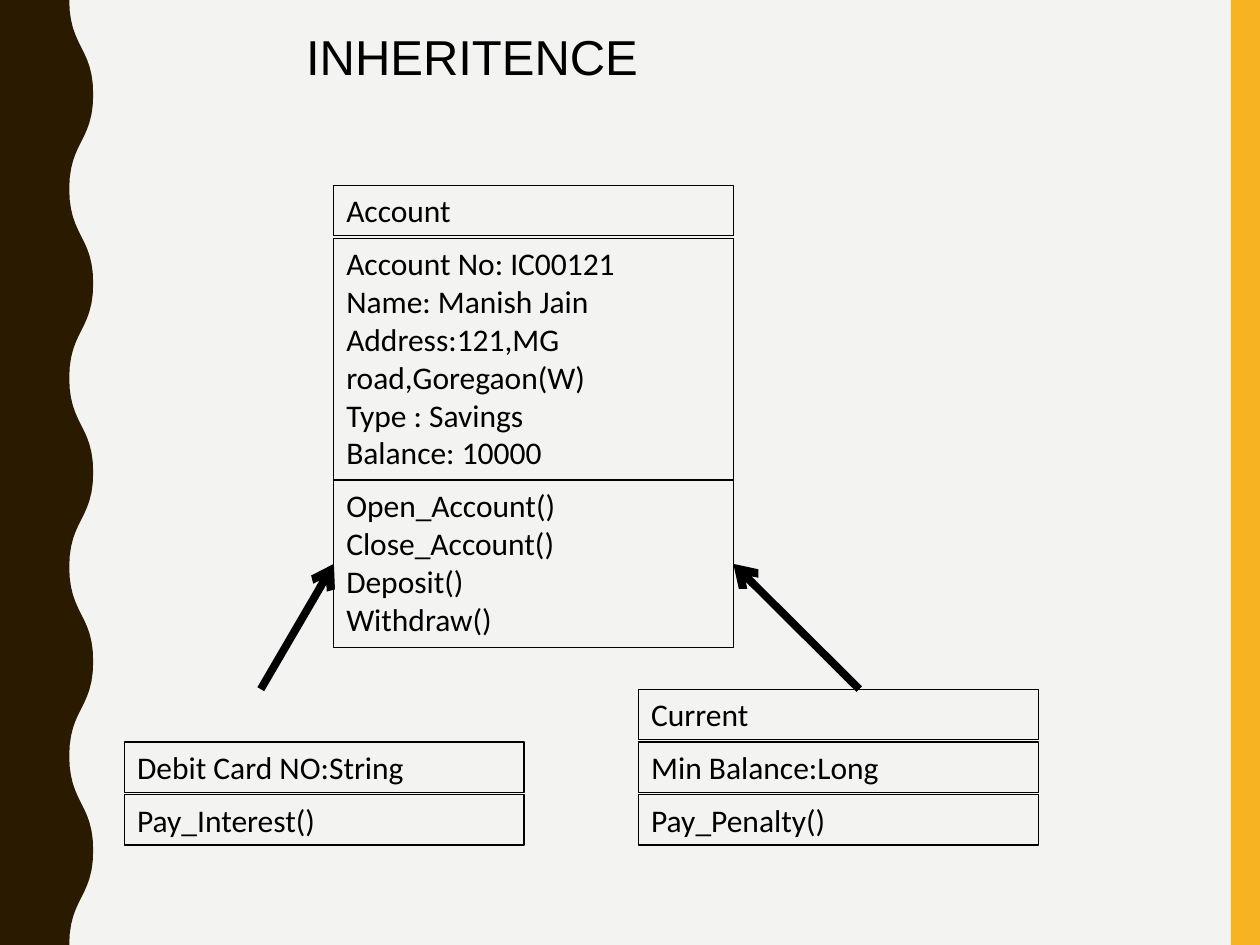
from dataclasses import dataclass

from lxml import etree
from pptx import Presentation
from pptx.dml.color import RGBColor
from pptx.enum.shapes import MSO_CONNECTOR, MSO_SHAPE
from pptx.enum.text import MSO_ANCHOR, PP_ALIGN
from pptx.oxml.ns import qn
from pptx.shapes.autoshape import Shape
from pptx.slide import Slide
from pptx.util import Pt

RECTANGLE = MSO_SHAPE.RECTANGLE
STRAIGHT = MSO_CONNECTOR.STRAIGHT
LEFT = PP_ALIGN.LEFT
TOP = MSO_ANCHOR.TOP

SLIDE_WIDTH, SLIDE_HEIGHT = 720, 540
BLACK, BROWN, AMBER, PAPER = "000000", "2A1A00", "F8B323", "F3F3F2"
CLASS_WIDTH = 228.24
ROW_HEIGHT = 28.8
LEFT_SIDE, RIGHT_SIDE = 1, 3


@dataclass
class Compartment:
    top: float
    height: float
    lines: list[str]


@dataclass
class ClassBox:
    left: float
    compartments: list[Compartment]


@dataclass
class Inheritance:
    start_x: float
    start_y: float
    parent_side: int


ACCOUNT = ClassBox(190.8, [
    Compartment(105.84, ROW_HEIGHT, ["Account"]),
    Compartment(136.08, 138.24, [
        "Account No: IC00121", "Name: Manish Jain",
        "Address:121,MG road,Goregaon(W)", "Type : Savings", "Balance: 10000"]),
    Compartment(274.32, 95.76, [
        "Open_Account()", "Close_Account()", "Deposit()", "Withdraw()"]),
])
SAVINGS = ClassBox(71.28, [
    Compartment(424.08, ROW_HEIGHT, ["Debit Card NO:String"]),
    Compartment(454.1, ROW_HEIGHT, ["Pay_Interest()"]),
])
CURRENT = ClassBox(365.04, [
    Compartment(393.84, ROW_HEIGHT, ["Current"]),
    Compartment(424.08, ROW_HEIGHT, ["Min Balance:Long"]),
    Compartment(454.1, ROW_HEIGHT, ["Pay_Penalty()"]),
])
INHERITANCES = [
    Inheritance(149.04, 393.84, LEFT_SIDE),
    Inheritance(491.04, 393.84, RIGHT_SIDE),
]


def color(hex_string: str) -> RGBColor:
    return RGBColor.from_string(hex_string)


def fill_plain(shape: Shape, hex_string: str) -> None:
    shape.shadow.inherit = False
    shape.fill.solid()
    shape.fill.fore_color.rgb = color(hex_string)
    shape.line.fill.background()


def draw_wave(slide: Slide) -> None:
    """Draw the left band, whose edge swings between trough and crest."""
    trough, crest, half_wave, steps = 39.6, 53.28, 54, 12
    edge = []
    for half in range(SLIDE_HEIGHT // half_wave):
        start, end = (trough, crest) if half % 2 == 0 else (crest, trough)
        for step in range(1, steps + 1):
            t = step / steps
            x = start + (end - start) * (3 * t**2 - 2 * t**3)
            y = half_wave * (half + 1.5 * t * (1 - t) + t**3)
            edge.append((Pt(x), Pt(y)))
    builder = slide.shapes.build_freeform(0, 0)
    builder.add_line_segments([(Pt(trough), 0), *edge, (0, Pt(SLIDE_HEIGHT))])
    fill_plain(builder.convert_to_shape(), BROWN)


def draw_amber_bar(slide: Slide) -> None:
    left = 703.44
    bar = slide.shapes.add_shape(
        RECTANGLE, Pt(left), 0, Pt(SLIDE_WIDTH - left), Pt(SLIDE_HEIGHT))
    fill_plain(bar, AMBER)


def set_title(slide: Slide, wording: str) -> None:
    title = slide.shapes.title
    title.left, title.top = Pt(167.76), Pt(10.08)
    title.width, title.height = Pt(452.88), Pt(74.88)
    frame = title.text_frame
    frame.text = wording
    frame.vertical_anchor = TOP
    frame.margin_top = Pt(5)
    heading = frame.paragraphs[0]
    heading.alignment = LEFT
    heading.font.size = Pt(28)
    heading.font.name = "Arial"
    heading.font.color.rgb = color(BLACK)


def draw_class(slide: Slide, class_box: ClassBox) -> list[Shape]:
    drawn = []
    for compartment in class_box.compartments:
        box = slide.shapes.add_shape(
            RECTANGLE, Pt(class_box.left), Pt(compartment.top),
            Pt(CLASS_WIDTH), Pt(compartment.height))
        box.shadow.inherit = False
        box.fill.background()
        box.line.color.rgb = color(BLACK)
        box.line.width = Pt(0.75)
        frame = box.text_frame
        frame.text = "\n".join(compartment.lines)
        frame.word_wrap = True
        frame.vertical_anchor = TOP
        for paragraph in frame.paragraphs:
            paragraph.alignment = LEFT
            paragraph.font.size = Pt(18)
            paragraph.font.name = "Calibri"
            paragraph.font.color.rgb = color(BLACK)
        drawn.append(box)
    return drawn


def draw_inheritance(slide: Slide, link: Inheritance, parent: Shape) -> None:
    start = Pt(link.start_x), Pt(link.start_y)
    arrow = slide.shapes.add_connector(STRAIGHT, *start, *start)
    arrow.end_connect(parent, link.parent_side)
    arrow.line.color.rgb = color(BLACK)
    arrow.line.width = Pt(4.5)
    etree.SubElement(arrow.line._get_or_add_ln(), qn("a:tailEnd"), type="arrow")
    etree.SubElement(arrow._element.spPr, qn("a:effectLst"))


def main() -> None:
    presentation = Presentation()
    presentation.slide_width = Pt(SLIDE_WIDTH)
    presentation.slide_height = Pt(SLIDE_HEIGHT)
    title_only = presentation.slide_layouts[5]
    slide = presentation.slides.add_slide(title_only)
    slide.background.fill.solid()
    slide.background.fill.fore_color.rgb = color(PAPER)

    draw_amber_bar(slide)
    draw_wave(slide)
    set_title(slide, "INHERITENCE")
    account_operations = draw_class(slide, ACCOUNT)[-1]
    for subclass in (SAVINGS, CURRENT):
        draw_class(slide, subclass)
    for link in INHERITANCES:
        draw_inheritance(slide, link, account_operations)
    presentation.save("out.pptx")


if __name__ == "__main__":
    main()
